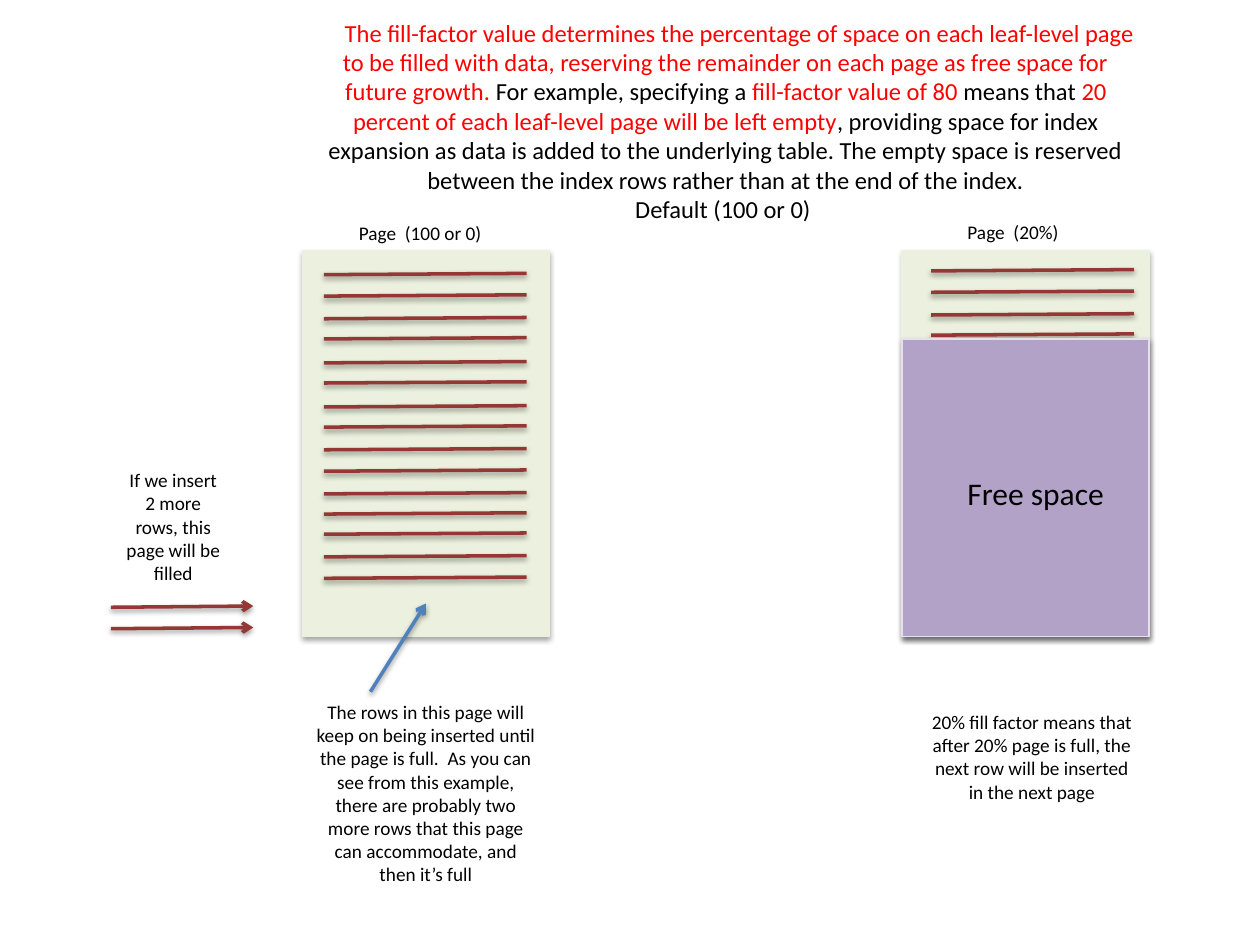
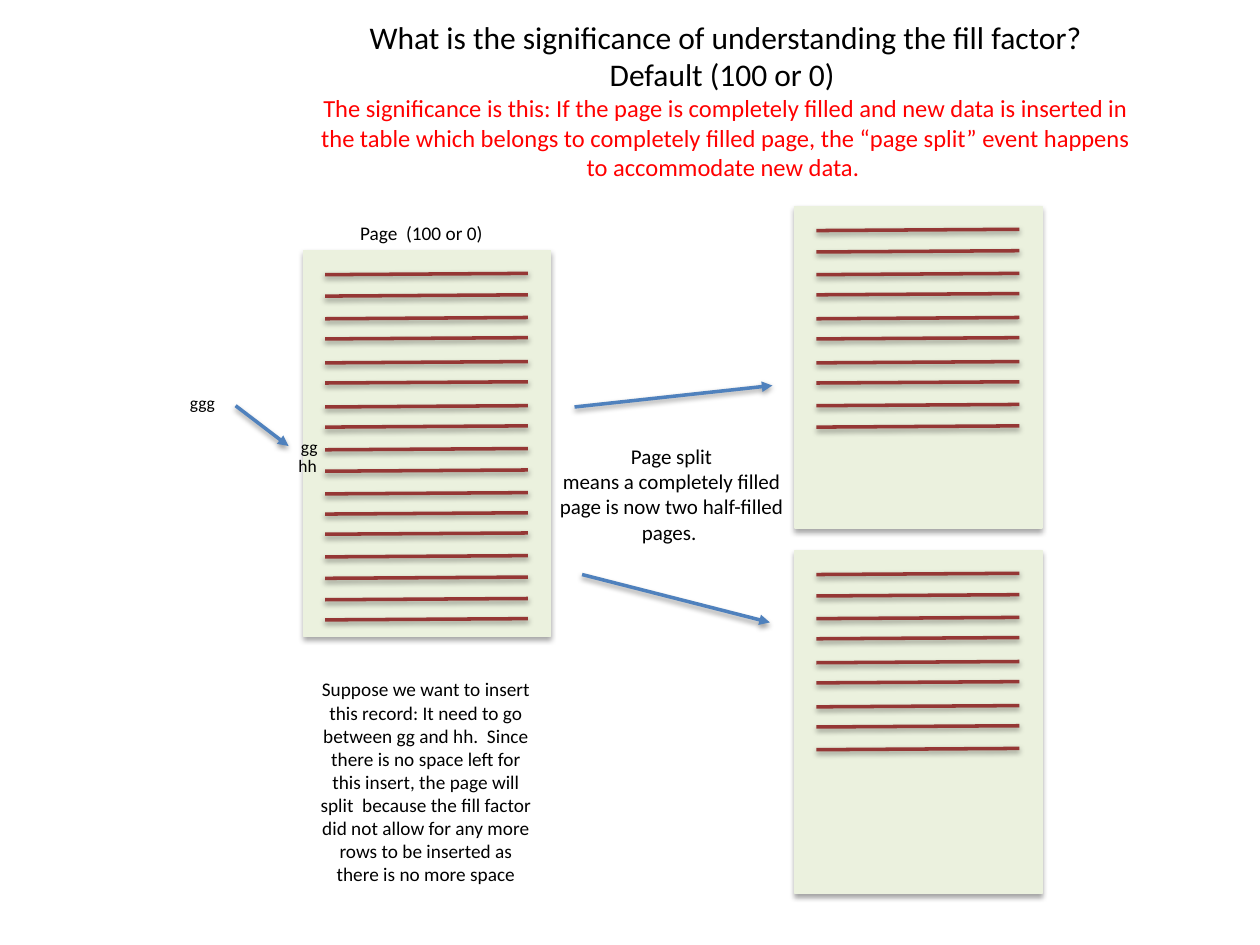
from lxml import etree
from pptx import Presentation
from pptx.dml.color import RGBColor
from pptx.enum.shapes import MSO_CONNECTOR, MSO_SHAPE
from pptx.enum.text import MSO_AUTO_SIZE, PP_ALIGN
from pptx.oxml.ns import qn
from pptx.util import Inches, Pt

RECTANGLE = MSO_SHAPE.RECTANGLE
STRAIGHT = MSO_CONNECTOR.STRAIGHT
FIT_TEXT = MSO_AUTO_SIZE.SHAPE_TO_FIT_TEXT
LEFT, CENTER = PP_ALIGN.LEFT, PP_ALIGN.CENTER

# Shared look
FONT = "Calibri"
BLACK, RED = "000000", "FF0000"
PAGE_GREEN, ROW_RED, ARROW_BLUE = "EBF1DE", "953735", "4F81BD"
FREE_FILL, FREE_EDGE = "B3A2C7", "E6E0EC"
TITLE_BOX = (2.4, 0.09, 6.72)
PAGE_WIDTH, ROW_WIDTH = 1.96, 1.61
ROW_INSET, FIRST_ROW = 0.17, 0.19
ROW_OFFSETS = [0, 0.17, 0.35, 0.51, 0.7, 0.86, 1.05, 1.21, 1.39,
               1.56, 1.74, 1.9, 2.06, 2.24, 2.41, 2.58, 2.74]

# Text spans are (text, size, colour); texts are (left, top, width, height, align, paragraphs);
# pages are (left, top, height, rows, row inset, first row);
# arrows are (start, end, colour, head)
FILL_FACTOR = {
    "title_height": 1.75,
    "title_indent": 0.22,
    "title": [
        [("The fill-factor value determines the percentage of space on each leaf-level page "
          "to be filled with data, reserving the remainder on each page as free space for "
          "future growth. ", 14, RED),
         ("For example, specifying a ", 14, BLACK),
         ("fill-factor value of 80 ", 14, RED),
         ("means that ", 14, BLACK),
         ("20 percent of each leaf-level page will be left empty", 14, RED),
         (", providing space for index expansion as data is added to the underlying table. "
          "The empty space is reserved between the index rows rather than at the end of "
          "the index.", 14, BLACK)],
        [("Default (100 or 0) ", 14, BLACK)],
    ],
    "pages": [
        (2.4, 1.99, 3.06, 15, ROW_INSET, FIRST_ROW),
        (7.16, 1.99, 3.06, 4, 0.23, 0.16),
    ],
    "free_space": [(7.16, 2.69, 2.36)],
    "arrows": [
        ((2.94, 5.49), (3.38, 4.79), ARROW_BLUE, "arrow"),
        ((0.88, 4.82), (2.01, 4.81), ROW_RED, "arrow"),
        ((0.88, 4.99), (2.01, 4.98), ROW_RED, "arrow"),
    ],
    "texts": [
        (2.75, 1.71, 1.27, 0.29, LEFT, [[("Page  (100 or 0)", 11, BLACK)]]),
        (7.58, 1.7, 1.11, 0.29, LEFT, [[("Page  (20%)", 11, BLACK)]]),
        (7.58, 3.71, 1.3, 0.4, LEFT, [[("Free space", 18, BLACK)]]),
        (0.88, 3.67, 0.99, 1.03, CENTER,
         [[("If we insert 2 more rows, this page will be filled", 11, BLACK)]]),
        (2.4, 5.51, 1.96, 1.58, CENTER,
         [[("The rows in this page will keep on being inserted until the page is full.  As you "
            "can see from this example, there are probably two more rows that this page can "
            "accommodate, and then it’s full", 11, BLACK)]]),
        (7.26, 5.59, 1.86, 0.84, CENTER,
         [[("20% fill factor means that after 20% page is full, the next row will be inserted "
            "in the next page", 11, BLACK)]]),
    ],
}

PAGE_SPLIT = {
    "title_height": 1.41,
    "title_indent": 0,
    "title": [
        [("What is the significance of understanding the fill factor?", 18, BLACK)],
        [("Default (100 or 0) ", 18, BLACK)],
        [("The significance is this: If the page is completely filled and new data is inserted "
          "in the table which belongs to completely filled page, the “page split” event "
          "happens to accommodate new data. ", 14, RED)],
    ],
    "pages": [
        (2.41, 1.99, 3.06, 17, ROW_INSET, FIRST_ROW),
        (6.31, 1.64, 2.55, 10, ROW_INSET, FIRST_ROW),
        (6.31, 4.37, 2.72, 9, ROW_INSET, FIRST_ROW),
    ],
    "free_space": [],
    "arrows": [
        ((1.87, 3.22), (2.29, 3.54), ARROW_BLUE, "triangle"),
        ((4.56, 3.23), (6.13, 3.06), ARROW_BLUE, "triangle"),
        ((4.62, 4.56), (6.11, 4.94), ARROW_BLUE, "triangle"),
    ],
    "texts": [
        (2.76, 1.71, 1.27, 0.29, LEFT, [[("Page  (100 or 0)", 11, BLACK)]]),
        (2.27, 3.56, 0.36, 0.27, LEFT, [[("hh", 10, BLACK)]]),
        (2.29, 3.41, 0.38, 0.27, LEFT, [[("gg", 10, BLACK)]]),
        (1.41, 3.06, 0.44, 0.27, LEFT, [[("ggg", 10, BLACK)]]),
        (2.42, 5.33, 1.92, 1.77, CENTER,
         [[("Suppose we want to insert this record: It need to go between gg and hh.  Since "
            "there is no space left for this insert, the page will split  because the fill "
            "factor did not allow for any more rows to be inserted as there is no more space",
            11, BLACK)]]),
        (4.31, 3.47, 2.04, 0.91, CENTER,
         [[("Page split", 12, BLACK)],
          [("means a completely filled page is now two half-filled pages. ", 12, BLACK)]]),
    ],
}


def color(hex_code):
    return RGBColor.from_string(hex_code)


def add_shadow(shape, opacity, distance):
    """Give a shape a soft black shadow straight below it."""
    effects = etree.SubElement(shape._element.spPr, qn("a:effectLst"))
    shadow = etree.SubElement(effects, qn("a:outerShdw"), blurRad=str(Pt(3.1)),
                              dist=str(Pt(distance)), dir="5400000", rotWithShape="0")
    black = etree.SubElement(shadow, qn("a:srgbClr"), val=BLACK)
    etree.SubElement(black, qn("a:alpha"), val=str(opacity * 1000))


def add_panel(slide, left, top, height, fill, edge):
    panel = slide.shapes.add_shape(RECTANGLE, Inches(left), Inches(top),
                                   Inches(PAGE_WIDTH), Inches(height))
    panel.fill.solid()
    panel.fill.fore_color.rgb = color(fill)
    panel.line.color.rgb = color(edge)
    panel.line.width = Pt(0.75)
    add_shadow(panel, 35, 1.8)


def add_line(slide, start, end, hex_code, head=None):
    line = slide.shapes.add_connector(STRAIGHT, *map(Inches, start + end))
    line.line.color.rgb = color(hex_code)
    line.line.width = Pt(2)
    if head:
        etree.SubElement(line.line._get_or_add_ln(), qn("a:tailEnd"), type=head)
    add_shadow(line, 38, 1.6)


def add_page(slide, left, top, height, rows, inset, first_row):
    add_panel(slide, left, top, height, PAGE_GREEN, PAGE_GREEN)
    row_left = left + inset
    for offset in ROW_OFFSETS[:rows]:
        y = top + first_row + offset
        add_line(slide, (row_left, y), (row_left + ROW_WIDTH, y - 0.01), ROW_RED)


def add_text(slide, left, top, width, height, align, paragraphs):
    box = slide.shapes.add_textbox(*map(Inches, (left, top, width, height)))
    frame = box.text_frame
    frame.word_wrap = align == CENTER
    frame.auto_size = FIT_TEXT
    for index, spans in enumerate(paragraphs):
        para = frame.add_paragraph() if index else frame.paragraphs[0]
        para.alignment = align
        for text, size, hex_code in spans:
            span = para.add_run()
            span.text = text
            span.font.name = FONT
            span.font.size = Pt(size)
            span.font.color.rgb = color(hex_code)
    return box


def build_slide(deck, content):
    slide = deck.slides.add_slide(deck.slide_layouts[6])
    # Pages with their rows, then the free space over them
    for page in content["pages"]:
        add_page(slide, *page)
    for left, top, height in content["free_space"]:
        add_panel(slide, left, top, height, FREE_FILL, FREE_EDGE)
    # Arrows
    for arrow in content["arrows"]:
        add_line(slide, *arrow)
    # Title and texts
    title = add_text(slide, *TITLE_BOX, content["title_height"], CENTER, content["title"])
    if content["title_indent"]:
        first = title.text_frame.paragraphs[0]
        first._p.get_or_add_pPr().set("indent", str(Inches(content["title_indent"])))
    for text in content["texts"]:
        add_text(slide, *text)


def main():
    deck = Presentation()
    deck.slide_width, deck.slide_height = Inches(10), Inches(7.5)
    for content in (FILL_FACTOR, PAGE_SPLIT):
        build_slide(deck, content)
    deck.save("out.pptx")


if __name__ == "__main__":
    main()
